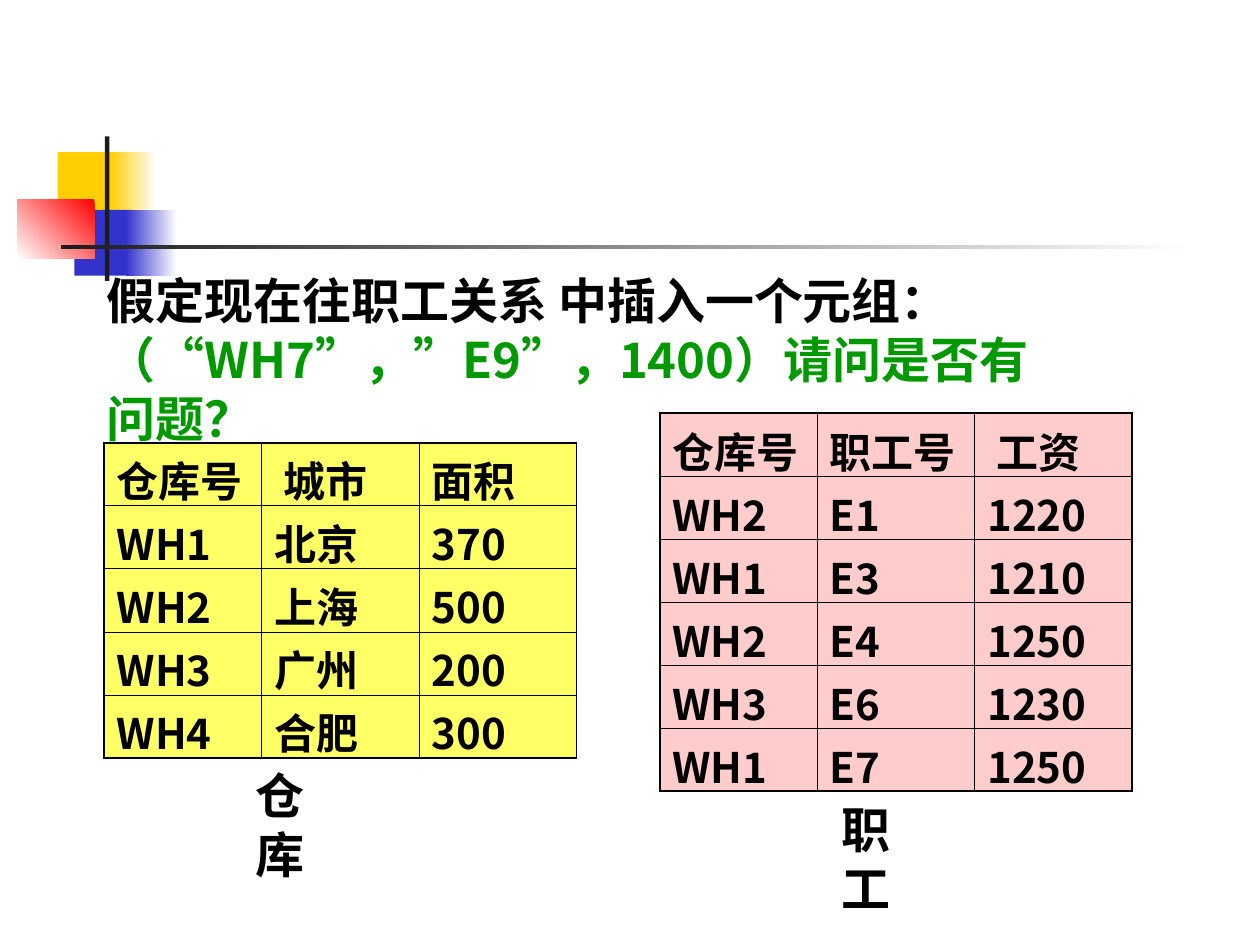
import dataclasses
import lxml.etree
import pptx
import pptx.dml.color
import pptx.enum.shapes
import pptx.oxml.ns
import pptx.util

Pt = pptx.util.Pt


@dataclasses.dataclass(frozen=True)
class Theme:
    """Holds the colours, fonts and sizes of the slide."""
    black: str = "000000"
    dark: str = "1C1C1C"
    white: str = "FFFFFF"
    gold: str = "FFCF01"
    blue: str = "3333CC"
    red: str = "FF0000"
    green: str = "009900"
    yellow: str = "FFFF66"
    pink: str = "FFCCCC"
    sans: str = "Noto Sans CJK SC"
    serif: str = "Times New Roman"
    large: int = 28
    small: int = 24
    thick: float = 1.08
    thin: float = 0.45


THEME = Theme()


def rgb(code):
    """Turn a hex code into a colour."""
    return pptx.dml.color.RGBColor.from_string(code)


def style(para, size, color, face):
    """Set the bold font of a paragraph."""
    font = para.font
    font.size, font.bold, font.name = Pt(size), True, face
    font.color.rgb = rgb(color)
    if face == THEME.sans:
        node = lxml.etree.SubElement(font._element, pptx.oxml.ns.qn("a:ea"))
        node.set("typeface", face)


def block(slide, box, start, end=None, angle=0):
    """Draw a plain or fading rectangle, its angle clockwise."""
    kind = pptx.enum.shapes.MSO_SHAPE.RECTANGLE
    shape = slide.shapes.add_shape(kind, *map(Pt, box))
    shape.shadow.inherit = False
    shape.line.fill.background()
    if end is None:
        shape.fill.solid()
        shape.fill.fore_color.rgb = rgb(start)
        return
    shape.fill.gradient()
    shape.fill.gradient_angle = 360 - angle
    for stop, color in zip(shape.fill.gradient_stops, (start, end)):
        stop.color.rgb = rgb(color)


def motif(slide, left, top):
    """Draw the coloured squares and crossing bars."""
    t = THEME
    parts = [
        ((23, 9, 34.5, 37.5), t.gold),
        ((53, 9, 26, 37.5), t.white, t.gold, 180),
        ((32.5, 42, 33, 37.5), t.blue),
        ((62, 42, 29, 37.5), t.white, t.blue, 180),
        ((0, 36, 44, 33.5), t.red, t.white, 135),
        ((50, 0, 2.5, 82.5), t.dark),
        ((25, 62, 648, 2.5), t.white, t.dark, 180),
    ]
    for (x, y, wide, high), *paint in parts:
        block(slide, (left + x, top + y, wide, high), *paint)


def words(slide, box, lines, face, wrap):
    """Write one coloured paragraph for each line."""
    frame = slide.shapes.add_textbox(*map(Pt, box)).text_frame
    frame.word_wrap = wrap
    for index, (text, color) in enumerate(lines):
        para = frame.add_paragraph() if index else frame.paragraphs[0]
        para.text = text
        style(para, THEME.large, color, face)


def edge(cell, side, width):
    """Draw one border of a cell."""
    props = cell._tc.get_or_add_tcPr()
    qn = pptx.oxml.ns.qn
    line = lxml.etree.SubElement(props, qn("a:" + side), w=str(Pt(width)))
    fill = lxml.etree.SubElement(line, qn("a:solidFill"))
    lxml.etree.SubElement(fill, qn("a:srgbClr"), val=THEME.black)


def grid(slide, box, rows, color):
    """Build a table with a heavy frame and thin inner lines."""
    high, wide = len(rows), len(rows[0])
    table = slide.shapes.add_table(high, wide, *map(Pt, box)).table
    for r, row in enumerate(rows):
        table.rows[r].height = Pt(box[3] / high)
        for c, text in enumerate(row):
            cell = table.cell(r, c)
            outer = {"lnL": c == 0, "lnR": c == wide - 1,
                     "lnT": r == 0, "lnB": r == high - 1}
            for side, heavy in outer.items():
                edge(cell, side, THEME.thick if heavy else THEME.thin)
            cell.fill.solid()
            cell.fill.fore_color.rgb = rgb(color)
            para = cell.text_frame.paragraphs[0]
            para.text = text
            para.space_before = Pt(6)
            style(para, THEME.small, THEME.black, THEME.sans)


def main():
    """Build and save the slide."""
    deck = pptx.Presentation()
    deck.slide_width, deck.slide_height = Pt(720), Pt(540)
    slide = deck.slides.add_slide(deck.slide_layouts[6])
    motif(slide, 10, 78)
    words(slide, (54, 151.2, 561.6, 108), [
        ("假定现在往职工关系 中插入一个元组：", THEME.black),
        ("（“WH7”，”E9”，1400）请问是否有问题？", THEME.green),
    ], THEME.sans, True)
    stores = [
        ("仓库号", " 城市", "面积"),
        ("WH1", "北京", "370"),
        ("WH2", "上海", "500"),
        ("WH3", "广州", "200"),
        ("WH4", "合肥", "300"),
    ]
    staff = [
        ("仓库号", "职工号", " 工资"),
        ("WH2", "E1", "1220"),
        ("WH1", "E3", "1210"),
        ("WH2", "E4", "1250"),
        ("WH3", "E6", "1230"),
        ("WH1", "E7", "1250"),
    ]
    grid(slide, (59.5, 253, 270, 180), stores, THEME.yellow)
    grid(slide, (377, 236, 270, 216), staff, THEME.pink)
    for left, top, name in [(139, 434, "仓库"), (474, 453.6, "职工")]:
        words(slide, (left, top, 70, 41), [(name, THEME.black)],
              THEME.serif, False)
    deck.save("out.pptx")


if __name__ == "__main__":
    main()
